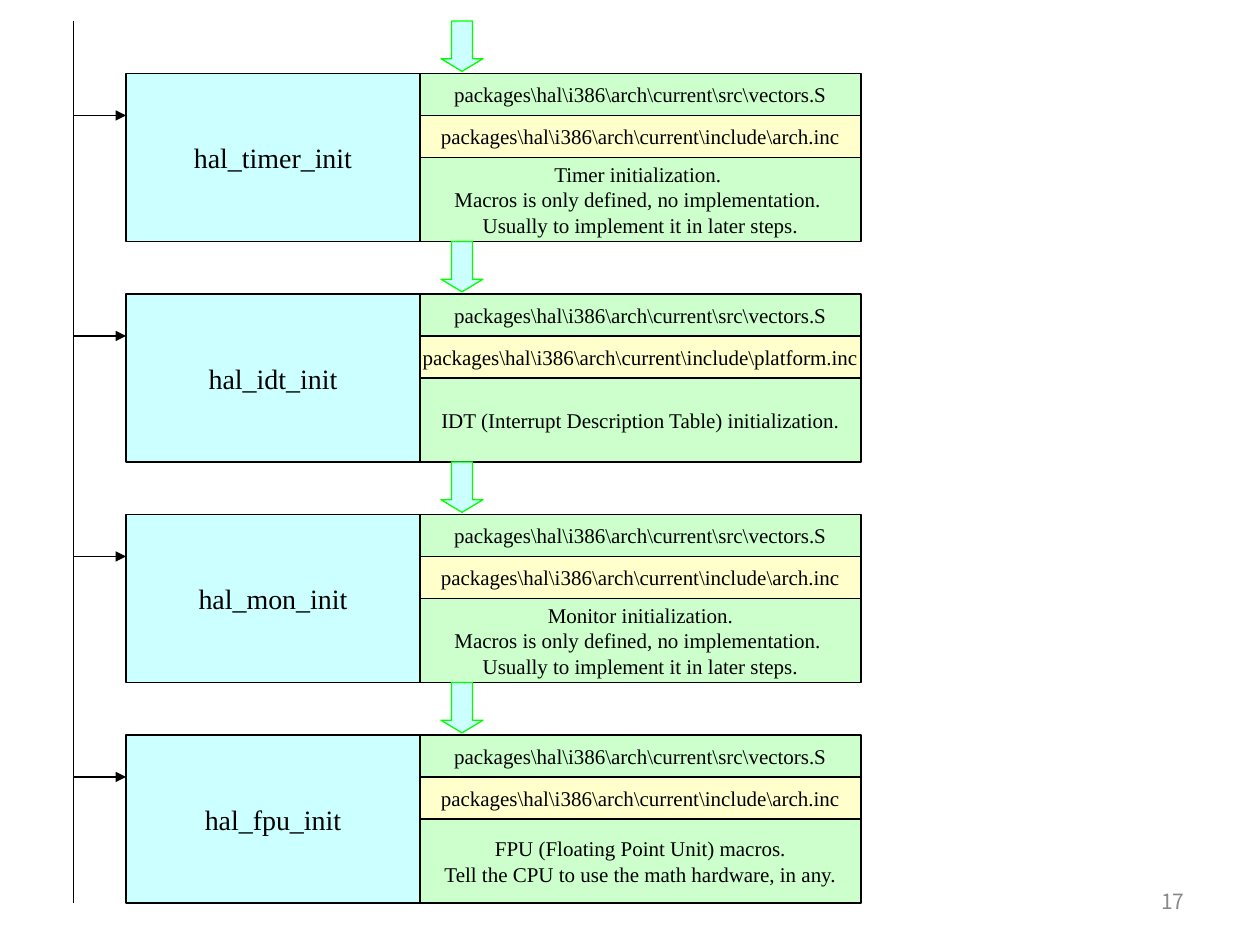
from dataclasses import dataclass

from lxml import etree
from pptx import Presentation
from pptx.dml.color import RGBColor
from pptx.enum.shapes import MSO_CONNECTOR, MSO_SHAPE
from pptx.enum.text import MSO_ANCHOR, PP_ALIGN
from pptx.oxml.ns import qn
from pptx.util import Pt

RECTANGLE = MSO_SHAPE.RECTANGLE
DOWN_ARROW = MSO_SHAPE.DOWN_ARROW
STRAIGHT = MSO_CONNECTOR.STRAIGHT
MIDDLE = MSO_ANCHOR.MIDDLE
CENTER = PP_ALIGN.CENTER
RIGHT = PP_ALIGN.RIGHT

EMU_PER_PX = 7620
TRUNK_X = 70
NAME_X, NAME_WIDTH = 120, 280
DETAIL_X, DETAIL_WIDTH = 400, 420
ROW_HEIGHT = 40
FIRST_STEP_Y, STEP_PITCH = 70, 210
FLOW_X, FLOW_WIDTH, FLOW_HEIGHT, FLOW_RISE = 420, 40, 48, 50


@dataclass(frozen=True)
class Theme:
    font: str = "Times New Roman"
    number_font: str = "Noto Sans CJK KR"
    name_size: int = 16
    text_size: int = 12
    line_width: float = 0.75
    ink: str = "000000"
    number: str = "898989"
    cyan: str = "CCFFFF"
    green: str = "CCFFCC"
    yellow: str = "FFFFCC"
    flow_line: str = "00FF00"


THEME = Theme()
SOURCE_FILE = r"packages\hal\i386\arch\current\src\vectors.S"
INCLUDE_FOLDER = r"packages\hal\i386\arch\current\include"
MACRO_NOTE = "Macros is only defined, no implementation. \nUsually to implement it in later steps."
STEPS = [
    ("hal_timer_init", "arch.inc", "Timer initialization. \n" + MACRO_NOTE),
    ("hal_idt_init", "platform.inc", "IDT (Interrupt Description Table) initialization."),
    ("hal_mon_init", "arch.inc", "Monitor initialization.\n" + MACRO_NOTE),
    ("hal_fpu_init", "arch.inc",
     "FPU (Floating Point Unit) macros.\nTell the CPU to use the math hardware, in any."),
]


def px(*lengths):
    return [length * EMU_PER_PX for length in lengths]


def write_text(shape, text, size, font, color, alignment):
    frame = shape.text_frame
    frame.text = text
    frame.vertical_anchor = MIDDLE
    for paragraph in frame.paragraphs:
        paragraph.alignment = alignment
        for run in paragraph.runs:
            run.font.size = Pt(size)
            run.font.name = font
            run.font.color.rgb = RGBColor.from_string(color)


def set_line(line, color):
    line.color.rgb = RGBColor.from_string(color)
    line.width = Pt(THEME.line_width)


def add_filled_shape(slide, kind, box, fill, line):
    shape = slide.shapes.add_shape(kind, *px(*box))
    shape.shadow.inherit = False
    shape.fill.solid()
    shape.fill.fore_color.rgb = RGBColor.from_string(fill)
    set_line(shape.line, line)
    return shape


def add_box(slide, box, text, fill, size=THEME.text_size):
    shape = add_filled_shape(slide, RECTANGLE, box, fill, THEME.ink)
    shape.text_frame.word_wrap = False
    write_text(shape, text, size, THEME.font, THEME.ink, CENTER)


def add_flow_arrow(slide, top):
    box = (FLOW_X, top, FLOW_WIDTH, FLOW_HEIGHT)
    arrow = add_filled_shape(slide, DOWN_ARROW, box, THEME.cyan, THEME.flow_line)
    arrow.adjustments[0] = 0.5
    arrow.adjustments[1] = 0.3


def add_line(slide, start, end, arrowhead=False):
    connector = slide.shapes.add_connector(STRAIGHT, *px(*start, *end))
    set_line(connector.line, THEME.ink)
    if arrowhead:
        outline = connector.line._get_or_add_ln()
        etree.SubElement(outline, qn("a:tailEnd"), type="triangle")
    etree.SubElement(connector._element.spPr, qn("a:effectLst"))


def add_step(slide, top, name, include_file, description):
    add_box(slide, (NAME_X, top, NAME_WIDTH, 4 * ROW_HEIGHT), name, THEME.cyan, THEME.name_size)
    details = [
        (2, 2, description, THEME.green),
        (0, 1, SOURCE_FILE, THEME.green),
        (1, 1, INCLUDE_FOLDER + "\\" + include_file, THEME.yellow),
    ]
    for row, rows, text, fill in details:
        box = (DETAIL_X, top + row * ROW_HEIGHT, DETAIL_WIDTH, rows * ROW_HEIGHT)
        add_box(slide, box, text, fill)
    add_flow_arrow(slide, top - FLOW_RISE)


def add_slide_number(slide):
    shape = slide.shapes.add_textbox(*px(860, 834, 280, 48))
    shape.text_frame.word_wrap = True
    write_text(shape, "17", THEME.text_size, THEME.number_font, THEME.number, RIGHT)


def main():
    presentation = Presentation()
    presentation.slide_width, presentation.slide_height = px(1200, 900)
    slide = presentation.slides.add_slide(presentation.slide_layouts[6])
    add_slide_number(slide)
    tops = [FIRST_STEP_Y + index * STEP_PITCH for index in range(len(STEPS))]
    for top, step in zip(tops, STEPS):
        add_step(slide, top, *step)
    add_line(slide, (TRUNK_X, 20), (TRUNK_X, 860))
    for top in tops:
        branch_y = top + ROW_HEIGHT
        add_line(slide, (TRUNK_X, branch_y), (NAME_X, branch_y), arrowhead=True)
    presentation.save("out.pptx")


if __name__ == "__main__":
    main()
